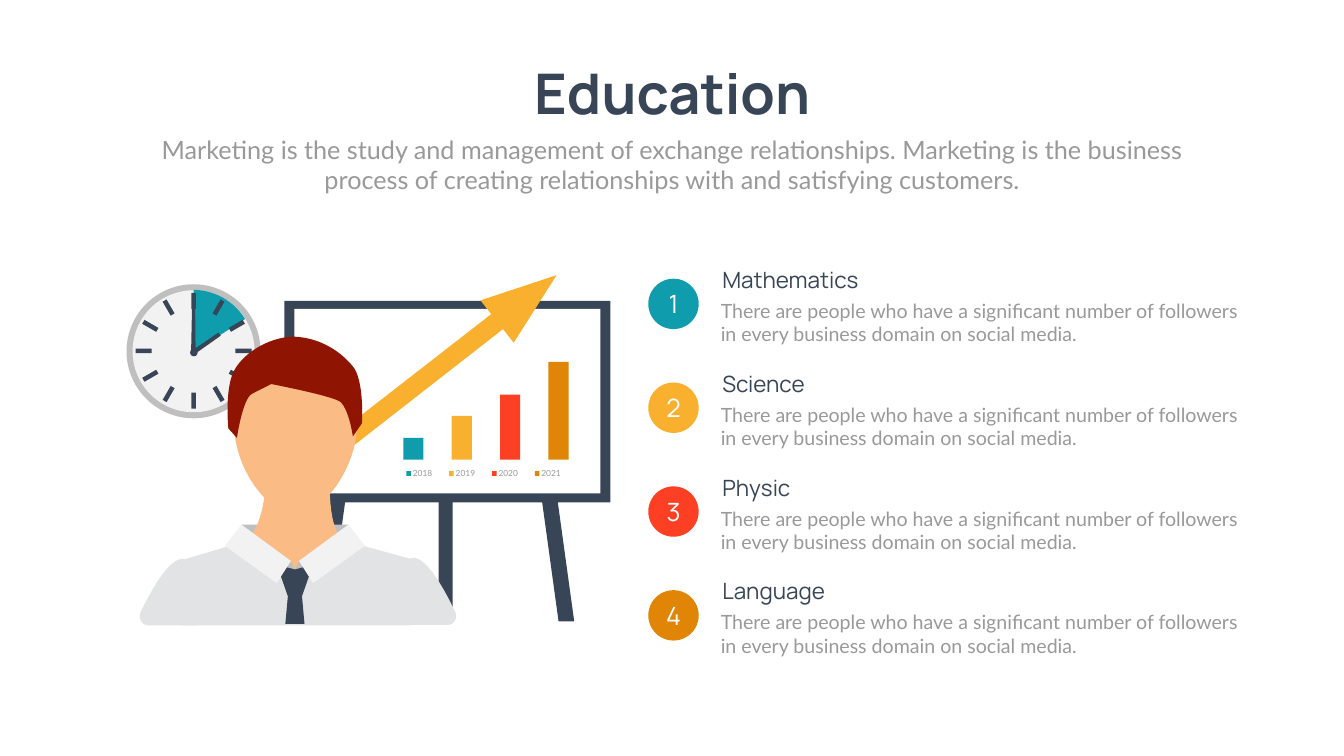
from dataclasses import dataclass

from pptx import Presentation
from pptx import util as u
from pptx.dml.color import RGBColor
from pptx.enum import shapes, text

COLUMNS, ROWS = 26.66, 15  # one grid cell is one inch square


@dataclass(frozen=True)
class Theme:
    background: str = "FEFFFE"
    navy: str = "374556"
    grey: str = "999999"
    silver: str = "BFBFBF"
    mist: str = "F2F2F2"
    shirt: str = "E2E3E5"
    skin: str = "FABB85"
    hair: str = "8F1401"
    white: str = "FFFFFF"
    teal: str = "0F9DAD"
    amber: str = "FAB02F"
    red: str = "FD4024"
    ochre: str = "E08505"
    heading_font: str = "Manrope"
    body_font: str = "Lato"
    title_size: int = 80
    lead_size: int = 36
    label_size: int = 32
    body_size: int = 28
    legend_size: int = 12

    @property
    def accents(self):
        return self.teal, self.amber, self.red, self.ochre


def curve_points(start, curve, steps=16):
    """Points along a cubic curve given as two controls and an end."""
    corners = [start, curve[:2], curve[2:4], curve[4:]]
    for step in range(1, steps + 1):
        t = step / steps
        weights = (1 - t) ** 3, 3 * t * (1 - t) ** 2, 3 * t * t * (1 - t), t ** 3
        yield tuple(sum(w * corner[axis] for w, corner in zip(weights, corners)) for axis in (0, 1))


class Deck:
    def __init__(self, theme):
        self.theme = theme
        self.presentation = Presentation()
        self.presentation.slide_width = u.Inches(COLUMNS)
        self.presentation.slide_height = u.Inches(ROWS)
        self.slide = self.presentation.slides.add_slide(self.presentation.slide_layouts[5])
        fill = self.slide.background.fill
        fill.solid()
        fill.fore_color.rgb = RGBColor.from_string(theme.background)

    def x(self, columns):
        return round(self.presentation.slide_width * columns / COLUMNS)

    def y(self, rows):
        return round(self.presentation.slide_height * rows / ROWS)

    def box(self, left, top, width, height):
        return self.x(left), self.y(top), self.x(width), self.y(height)

    def paint(self, shape, color):
        shape.shadow.inherit = False
        shape.fill.solid()
        shape.fill.fore_color.rgb = RGBColor.from_string(color)
        shape.line.fill.background()
        return shape

    def set_words(self, shape, words, size, color, font=None, bold=False, align="LEFT",
                  anchor="TOP", wrap=True, grow=True):
        frame = shape.text_frame
        frame.text = words
        fit = text.MSO_AUTO_SIZE.SHAPE_TO_FIT_TEXT if grow else text.MSO_AUTO_SIZE.NONE
        frame_format = {"word_wrap": wrap, "auto_size": fit,
                        "vertical_anchor": text.MSO_ANCHOR[anchor]}
        for name, value in frame_format.items():
            setattr(frame, name, value)
        paragraph = frame.paragraphs[0]
        paragraph.alignment = text.PP_ALIGN[align]
        font_format = {"name": font or self.theme.body_font, "size": u.Pt(size), "bold": bold}
        for name, value in font_format.items():
            setattr(paragraph.font, name, value)
        paragraph.font.color.rgb = RGBColor.from_string(color)

    def title(self, words, *area, **style):
        shape = self.slide.shapes.title
        for name, value in zip(("left", "top", "width", "height"), self.box(*area)):
            setattr(shape, name, value)
        self.set_words(shape, words, **style)

    def text(self, words, *area, **style):
        self.set_words(self.slide.shapes.add_textbox(*self.box(*area)), words, **style)

    def preset(self, kind, color, *area, rotation=0):
        shape = self.slide.shapes.add_shape(shapes.MSO_SHAPE[kind], *self.box(*area))
        shape.rotation = rotation
        return self.paint(shape, color)

    def outline(self, color, start, *parts):
        """Closed outline; a pair is a straight side, six numbers are a curve."""
        points = [start]
        for part in parts:
            points.extend([part] if len(part) == 2 else curve_points(points[-1], part))
        places = [(self.x(across), self.y(down)) for across, down in points]
        builder = self.slide.shapes.build_freeform(*places[0], scale=1.0)
        builder.add_line_segments(places[1:], close=True)
        self.paint(builder.convert_to_shape(), color)

    def mirrored(self, color, axis, *points):
        self.outline(color, *points)
        self.outline(color, *((2 * axis - across, down) for across, down in points))


def draw_clock(deck, theme):
    deck.preset("OVAL", theme.silver, 2.51, 5.64, 2.66, 2.66)
    deck.preset("OVAL", theme.mist, 2.63, 5.76, 2.42, 2.42)
    deck.outline(theme.teal, (3.84, 5.75), (3.84, 6.99), (4.86, 6.33),
                 (4.64, 5.97, 4.26, 5.76, 3.84, 5.75))
    # Each tick turns with the hour around the centre of the face
    from_center = 0.99
    for hour in range(12):
        turn = complex(3 ** 0.5 / 2, 0.5) ** hour
        across, down = 3.84 + from_center * turn.imag, 6.96 - from_center * turn.real
        deck.preset("RECTANGLE", theme.navy, across - 0.045, down - 0.16, 0.09, 0.32,
                    rotation=hour * 30)
    # Hands and hub
    deck.outline(theme.navy, (3.81, 6.06), (3.79, 7), (3.88, 7), (3.87, 6.06))
    deck.outline(theme.navy, (3.82, 6.95), (3.87, 7.02), (4.38, 6.66), (4.33, 6.6))
    deck.preset("OVAL", theme.navy, 3.77, 6.92, 0.15, 0.15)


def draw_board(deck, theme):
    deck.mirrored(theme.navy, 8.8, (10.74, 9.86), (11.08, 12.33), (11.39, 12.33), (11.05, 9.86))
    deck.preset("RECTANGLE", theme.navy, 8.7, 9.86, 0.28, 2.47)
    deck.preset("RECTANGLE", theme.navy, 5.64, 5.97, 6.47, 4)
    deck.preset("RECTANGLE", theme.white, 5.84, 6.13, 6.07, 3.66)
    # Rising arrow
    deck.outline(theme.amber, (5.84, 9.27), (9.76, 6.22), (9.99, 6.52), (6.08, 9.57))
    deck.outline(theme.amber, (10.19, 6.8), (11.04, 5.46), (9.53, 5.96))
    # Sketched bars and their key
    for index, (color, height) in enumerate(zip(theme.accents, (0.43, 0.87, 1.29, 1.94))):
        deck.preset("RECTANGLE", color, 8 + 0.96 * index, 9.12 - height, 0.4, height)
        key = 8.06 + 0.85 * index
        deck.preset("RECTANGLE", color, key, 9.35, 0.09, 0.09)
        deck.text(str(2018 + index), key + 0.03, 9.23, 0.59, 0.3,
                  size=theme.legend_size, color=theme.grey, wrap=False)


def draw_teacher(deck, theme):
    middle = 5.85
    deck.preset("RECTANGLE", theme.silver, 4.79, 10.41, 2.12, 0.58)
    # Left arm, neck, right arm
    deck.outline(theme.shirt, (3.62, 11.09), (3.38, 11.09, 3.08, 11.55, 2.79, 12.14),
                 (2.75, 12.23, 2.78, 12.34, 2.87, 12.39), (2.9, 12.4, 2.93, 12.41, 2.96, 12.41),
                 (3.9, 12.41), (3.93, 12.05, 3.91, 11.69, 3.84, 11.34),
                 (3.79, 11.19, 3.72, 11.09, 3.62, 11.09))
    deck.outline(theme.skin, (6.54, 9.41), (6.55, 9.11, 5.28, 9.08, 5.28, 9.37),
                 (5.26, 10.48, 4.9, 10.7, 4.9, 10.7), (4.9, 10.7, 4.86, 11.68, 5.12, 12.38),
                 (6.6, 12.38), (6.83, 11.68, 6.8, 10.7, 6.8, 10.7),
                 (6.8, 10.7, 6.51, 10.59, 6.54, 9.41))
    deck.outline(theme.shirt, (8.2, 11.07), (8.09, 11.07, 8.02, 11.18, 7.97, 11.35),
                 (7.91, 11.7, 7.89, 12.05, 7.92, 12.4), (8.87, 12.4),
                 (8.97, 12.4, 9.05, 12.32, 9.05, 12.22), (9.05, 12.19, 9.04, 12.16, 9.03, 12.14),
                 (8.74, 11.54, 8.44, 11.07, 8.2, 11.07))
    # Shirt halves, collar shade and tie
    deck.outline(theme.shirt, (5.84, 11.32), (5.86, 12.41), (8.15, 12.41), (8.26, 11.12),
                 (6.8, 10.72), (6.6, 11.11, 5.84, 11.32, 5.84, 11.32))
    deck.outline(theme.shirt, (4.9, 10.73), (3.48, 11.15), (3.62, 12.41), (5.86, 12.41),
                 (5.85, 11.32), (5.49, 11.2, 5.17, 11, 4.9, 10.73))
    deck.mirrored(theme.silver, middle, (5.68, 11.1), (5.49, 11.19), (5.85, 11.31), (5.77, 11.14))
    deck.outline(theme.navy, (5.49, 11.2), (5.85, 11.3), (6.21, 11.2), (5.99, 11.83),
                 (6.04, 12.38), (5.66, 12.38), (5.71, 11.83))
    # Head, hair and collar
    deck.outline(theme.skin, (5.87, 6.99), (5.19, 6.99, 4.55, 7.7, 4.65, 8.57),
                 (4.74, 9.49, 5.41, 10.21, 5.87, 10.21), (6.32, 10.21, 6.98, 9.47, 7.08, 8.57),
                 (7.18, 7.7, 6.54, 6.99, 5.87, 6.99))
    deck.outline(theme.hair, (5.84, 6.68), (5.32, 6.68, 4.76, 7.04, 4.61, 7.43),
                 (4.46, 7.83, 4.53, 8.5, 4.53, 8.5), (4.7, 8.69),
                 (4.7, 8.69, 4.81, 7.93, 4.99, 7.82), (5.04, 7.79, 5.38, 7.62, 5.38, 7.62),
                 (5.38, 7.62, 6.63, 7.86, 6.76, 7.98), (6.93, 8.15, 7, 8.66, 7, 8.66),
                 (7.18, 8.4), (7.18, 8.4, 7.23, 7.64, 7.03, 7.31),
                 (6.75, 6.94, 6.31, 6.7, 5.84, 6.68))
    deck.mirrored(theme.mist, middle, (4.46, 10.83), (5.49, 11.57), (5.77, 11.13), (4.79, 10.41))


def list_subjects(deck, theme):
    description = ("There are people who have a significant number of followers "
                   "in every business domain on social media.")
    subjects = "Mathematics", "Science", "Physic", "Language"
    for index, (subject, color) in enumerate(zip(subjects, theme.accents)):
        top = 5.23 + 2.06 * index
        badge = deck.preset("OVAL", color, 12.86, top + 0.3, 1, 1)
        deck.set_words(badge, str(index + 1), size=theme.lead_size, color=theme.white, wrap=False,
                       font=theme.heading_font, align="CENTER", anchor="MIDDLE", grow=False)
        deck.text(subject, 14.23, top, 5.35, 0.64,
                  size=theme.label_size, color=theme.navy, font=theme.heading_font)
        deck.text(description, 14.2, top + 0.65, 10.57, 1.04, size=theme.body_size, color=theme.grey)


def main():
    theme = Theme()
    deck = Deck(theme)
    # Heading
    deck.title("Education", 10.32, 1.12, 6.03, 1.45, size=theme.title_size, color=theme.navy,
               font=theme.heading_font, bold=True, align="CENTER", wrap=False)
    deck.text("Marketing is the study and management of exchange relationships. Marketing is the "
              "business process of creating relationships with and satisfying customers.",
              2.92, 2.61, 20.82, 1.31, size=theme.lead_size, color=theme.grey, align="CENTER")
    # Illustration, back to front
    draw_clock(deck, theme)
    draw_board(deck, theme)
    draw_teacher(deck, theme)
    # Numbered list
    list_subjects(deck, theme)
    deck.presentation.save("out.pptx")


if __name__ == "__main__":
    main()
